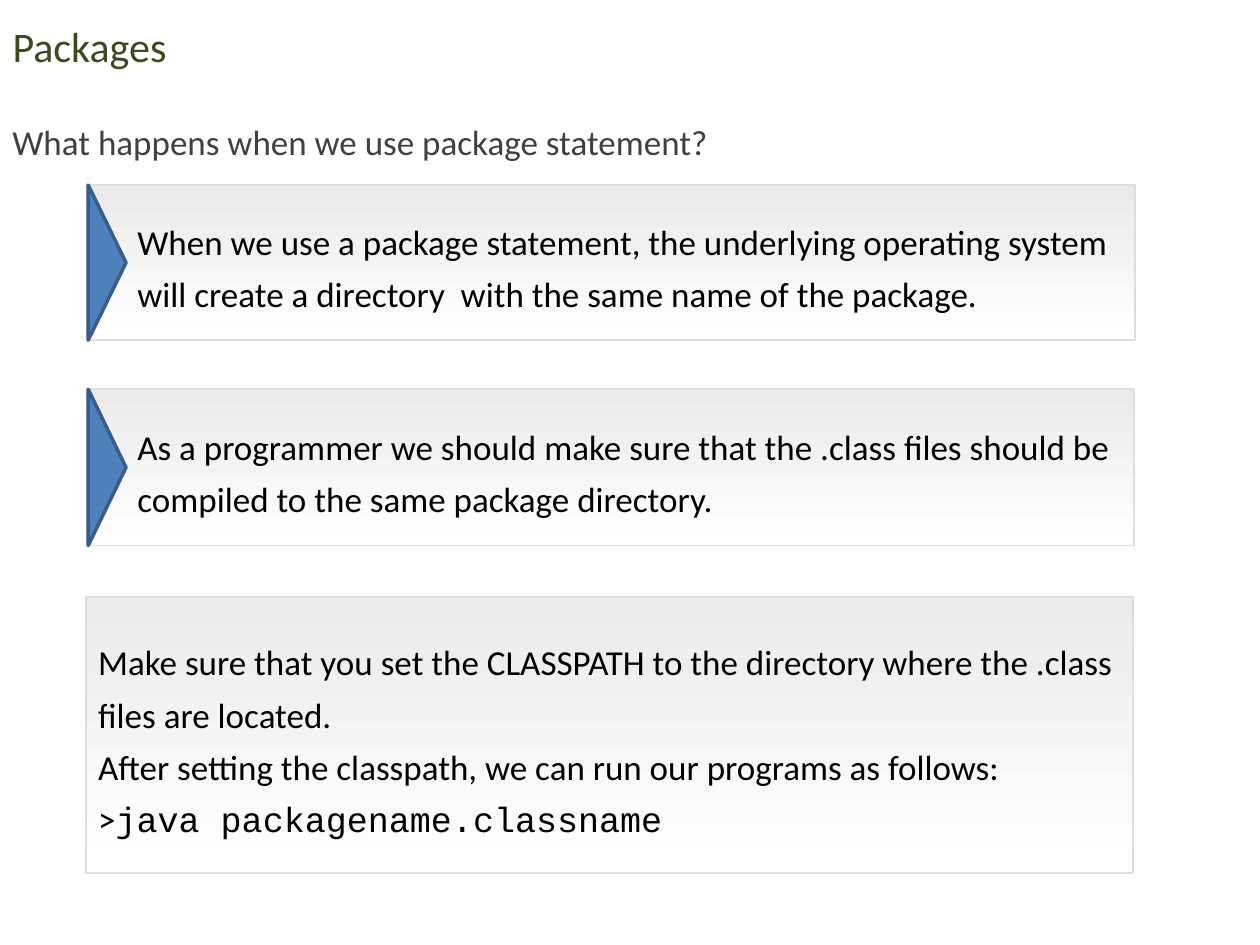
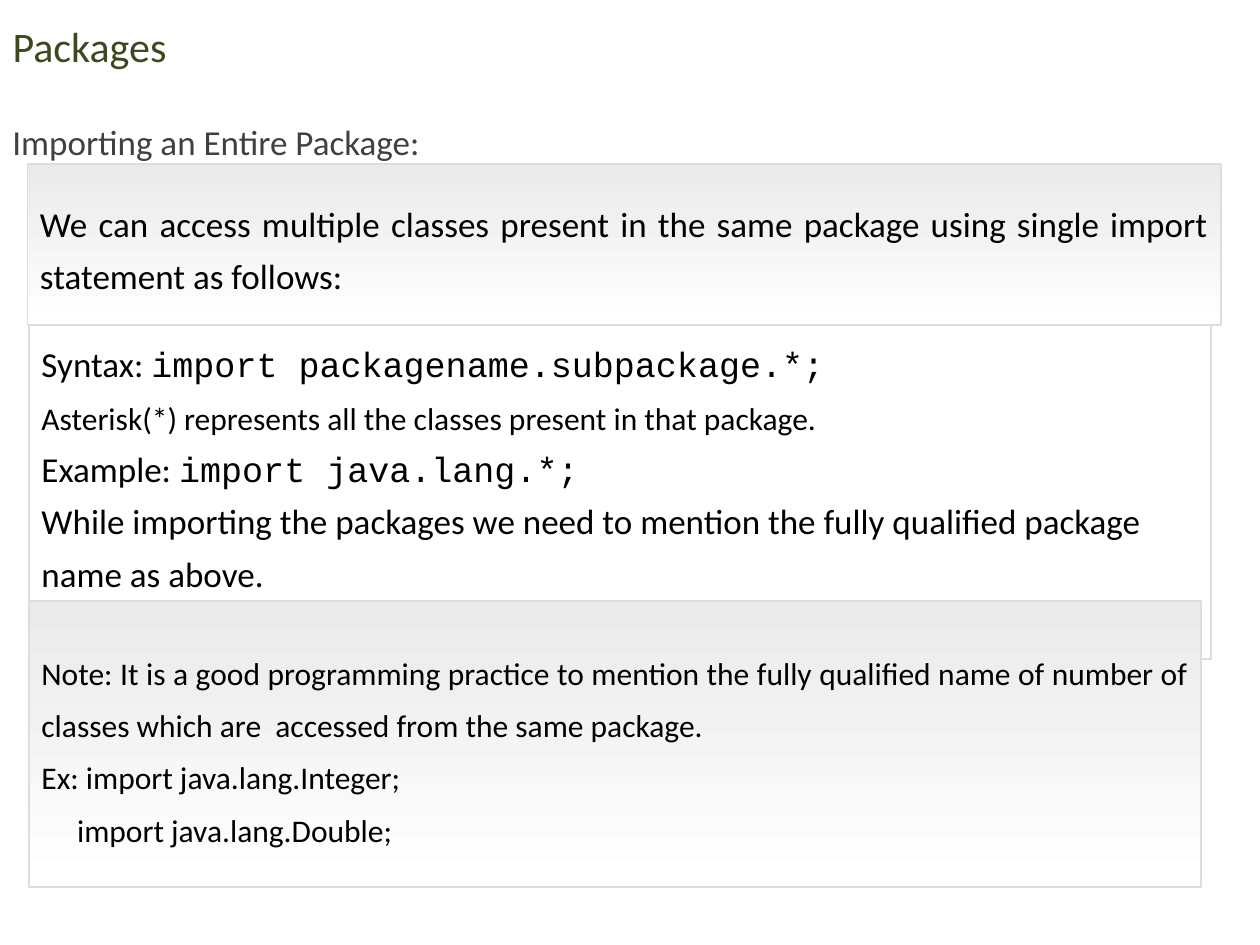
"""Build two slides on Java packages."""
from pptx import Presentation
from pptx.dml.color import RGBColor
from pptx.enum.shapes import MSO_SHAPE as Preset
from pptx.enum.text import MSO_ANCHOR as Anchor, MSO_AUTO_SIZE as AutoSize, PP_ALIGN as Align
from pptx.util import Pt

COLORS = {
    "title": "3B4A1E", "heading": "404040", "text": "000000",
    "panel_top": "EAEAEA", "panel_bottom": "FFFFFF", "panel_line": "DDDDDD",
    "arrow": "4F81BD", "arrow_line": "385D8A",
}
FONT, CODE_FONT = "Calibri", "Courier New"
LINE_SPACING = 29.9
ARROW_DEPTH = 21.6
ARROW_OFFSET = 11.5
DEFAULT_INSETS = (7.2, 7.2, 7.2, 7.2)
ARROW_INSETS = (28.8, 7.2, 7.2, 7.2)

SLIDES = [
    {
        "title": "Packages",
        "heading": "What happens when we use package statement?",
        "panels": [
            {"box": (49.7, 105.8, 599, 88.6), "arrow": True, "insets": ARROW_INSETS,
             "lines": [{"text": "When we use a package statement, the underlying operating system "
                                "will create a directory  with the same name of the package."}]},
            {"box": (49.7, 222.5, 598.3, 89.3), "arrow": True, "insets": ARROW_INSETS,
             "lines": [{"text": "As a programmer we should make sure that the .class files should be "
                                "compiled to the same package directory."}]},
            {"box": (49, 341.3, 598.3, 157.7), "insets": (7.2, 7.2, 0, 7.2),
             "lines": [{"text": "Make sure that you set the CLASSPATH to the directory where the "
                                ".class files are located."},
                       {"text": "After setting the classpath, we can run our programs as follows:"},
                       {"text": ">", "code": "java packagename.classname"}]},
        ],
    },
    {
        "title": "Packages",
        "heading": "Importing an Entire Package:",
        "panels": [
            {"box": (16.6, 180, 675.4, 196.6), "plain": True, "anchor": Anchor.BOTTOM,
             "insets": (7.2, 7.2, 7.2, 7.2 + LINE_SPACING),
             "lines": [{"text": "Syntax: ", "code": "import packagename.subpackage.*;"},
                       {"text": "Asterisk(*) represents all the classes present in that package.",
                        "size": 18},
                       {"text": "Example: ", "code": "import java.lang.*;"},
                       {"text": "While importing the packages we need to mention the fully "
                                "qualified package name as above."}]},
            {"box": (15.8, 93.6, 681.8, 92.2), "align": Align.JUSTIFY,
             "lines": [{"text": "We can access multiple classes present in the same package using "
                                "single import statement as follows:"}]},
            {"box": (16.6, 343.4, 669.6, 163.4), "align": Align.JUSTIFY,
             "lines": [{"text": "Note: It is a good programming practice to mention the fully "
                                "qualified name of number of classes which are  accessed from the "
                                "same package.", "size": 18},
                       {"text": "Ex: import java.lang.Integer;", "size": 18},
                       {"text": "import java.lang.Double;", "size": 18, "indent": 20.4}]},
        ],
    },
]


def color(name):
    return RGBColor.from_string(COLORS[name])


def style(paragraph, size, color_name, align=Align.LEFT):
    paragraph.alignment = align
    paragraph.font.name = FONT
    paragraph.font.size = Pt(size)
    paragraph.font.color.rgb = color(color_name)


def add_preset(slide, preset, box, line_name, line_width):
    shape = slide.shapes.add_shape(preset, *map(Pt, box))
    shape.shadow.inherit = False
    shape.line.color.rgb = color(line_name)
    shape.line.width = Pt(line_width)
    return shape


def add_header(slide, title, heading):
    title_shape = slide.shapes.title
    title_shape.left, title_shape.top, title_shape.width, title_shape.height = map(
        Pt, (0, 10, 687.6, 32.4))
    frame = title_shape.text_frame
    frame.text = title
    frame.auto_size = AutoSize.NONE
    frame.vertical_anchor = Anchor.MIDDLE
    style(frame.paragraphs[0], 24, "title")

    frame = slide.shapes.add_textbox(*map(Pt, (0, 53.3, 669.6, 43.2))).text_frame
    frame.word_wrap = True
    frame.text = heading
    frame.paragraphs[0].line_spacing = 1.5
    style(frame.paragraphs[0], 20, "heading")


def fill_panel(shape, plain):
    if plain:
        shape.fill.background()
        return
    shape.fill.gradient()
    shape.fill.gradient_angle = 270
    for stop, name in zip(shape.fill.gradient_stops, ("panel_top", "panel_bottom")):
        stop.color.rgb = color(name)


def write_lines(frame, lines, align):
    for index, line in enumerate(lines):
        paragraph = frame.add_paragraph() if index else frame.paragraphs[0]
        style(paragraph, line.get("size", 20), "text", align)
        paragraph.line_spacing = Pt(LINE_SPACING)
        paragraph.add_run().text = line["text"]
        if "code" in line:
            code_run = paragraph.add_run()
            code_run.text = line["code"]
            code_run.font.name = CODE_FONT
        if "indent" in line:
            paragraph._p.get_or_add_pPr().set("marL", str(Pt(line["indent"])))


def add_arrow(slide, box):
    left, top, _, height = box
    arrow_box = (left + ARROW_OFFSET - height / 2, top + (height - ARROW_DEPTH) / 2,
                 height, ARROW_DEPTH)
    arrow = add_preset(slide, Preset.ISOSCELES_TRIANGLE, arrow_box, "arrow_line", 2)
    arrow.rotation = 90
    arrow.fill.solid()
    arrow.fill.fore_color.rgb = color("arrow")


def add_panel(slide, panel):
    shape = add_preset(slide, Preset.RECTANGLE, panel["box"], "panel_line", 1)
    fill_panel(shape, panel.get("plain"))
    frame = shape.text_frame
    frame.word_wrap = True
    frame.vertical_anchor = panel.get("anchor", Anchor.MIDDLE)
    frame.margin_left, frame.margin_top, frame.margin_right, frame.margin_bottom = map(
        Pt, panel.get("insets", DEFAULT_INSETS))
    write_lines(frame, panel["lines"], panel.get("align", Align.LEFT))
    if panel.get("arrow"):
        add_arrow(slide, panel["box"])


def main():
    presentation = Presentation()
    presentation.slide_width, presentation.slide_height = Pt(720), Pt(540)
    title_only = presentation.slide_layouts.get_by_name("Title Only")
    for content in SLIDES:
        slide = presentation.slides.add_slide(title_only)
        add_header(slide, content["title"], content["heading"])
        for panel in content["panels"]:
            add_panel(slide, panel)
    presentation.save("out.pptx")


if __name__ == "__main__":
    main()
